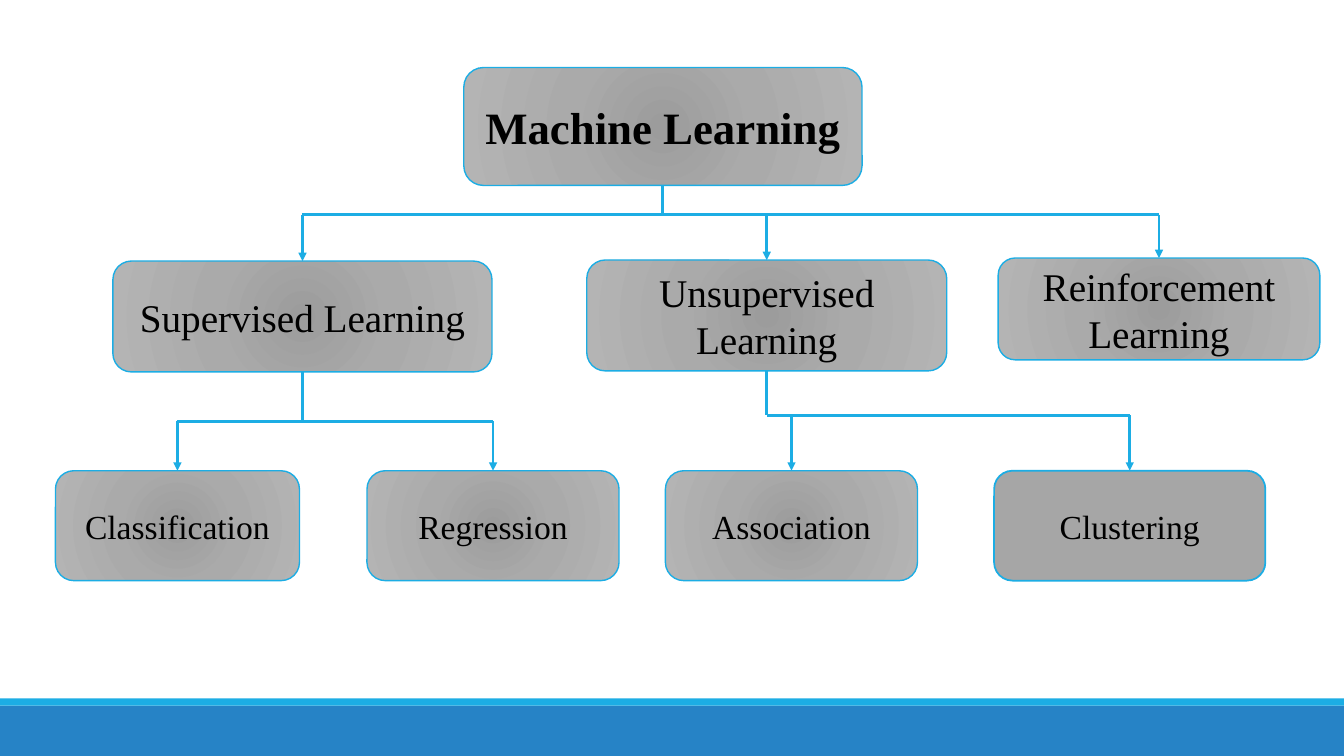
from dataclasses import dataclass

from pptx import Presentation
from pptx.dml.color import RGBColor
from pptx.enum.shapes import MSO_CONNECTOR, MSO_SHAPE
from pptx.enum.text import MSO_ANCHOR, PP_ALIGN
from pptx.oxml import parse_xml
from pptx.oxml.ns import nsdecls, qn
from pptx.util import Inches, Pt

RECTANGLE = MSO_SHAPE.RECTANGLE
ROUNDED = MSO_SHAPE.ROUNDED_RECTANGLE
STRAIGHT = MSO_CONNECTOR.STRAIGHT
MIDDLE = MSO_ANCHOR.MIDDLE
CENTER = PP_ALIGN.CENTER


@dataclass(frozen=True)
class Theme:
    font: str = "Times New Roman"
    accent: str = "1CADE4"
    band: str = "2683C6"
    text: str = "000000"
    flat: str = "A6A6A6"
    gradient: tuple = ((0, "9C9C9C"), (45, "AAAAAA"), (100, "B4B4B4"))
    level_sizes: tuple = (32, 28, 24)
    node_line: float = 1
    flat_line: float = 1.25
    link_line: float = 2
    root_line: float = 2.25


@dataclass(frozen=True)
class Box:
    left: float
    top: float
    width: float
    height: float

    @property
    def center(self):
        return self.left + self.width / 2

    @property
    def bottom(self):
        return self.top + self.height

    def inside(self, outer):
        return Box(outer.left + self.left, outer.top + self.top, self.width, self.height)

    def emu(self):
        return [Inches(v) for v in (self.left, self.top, self.width, self.height)]


THEME = Theme()
SLIDE = Box(0, 0, 13.33, 7.5)
TREE = Box(0.55, 0.67, 12.54, 5.09)
FOOTER = Box(0, 6.93, 13.33, 0.57)

# Label: (level, box within the tree)
NODES = {
    "Machine Learning": (0, Box(4.05, 0, 3.95, 1.17)),
    "Supervised Learning": (1, Box(0.57, 1.92, 3.76, 1.1)),
    "Unsupervised Learning": (1, Box(5.27, 1.91, 3.57, 1.1)),
    "Reinforcement Learning": (1, Box(9.35, 1.89, 3.19, 1.01)),
    "Classification": (2, Box(0, 4, 2.42, 1.09)),
    "Regression": (2, Box(3.09, 4, 2.5, 1.09)),
    "Association": (2, Box(6.05, 4, 2.5, 1.09)),
    "Clustering": (2, Box(9.31, 4, 2.69, 1.09)),
}
FLAT_NODES = {"Clustering"}

# Parent: (height of the crossbar within the tree, children)
BRANCHES = {
    "Machine Learning": (1.46, ("Supervised Learning", "Unsupervised Learning",
                                "Reinforcement Learning")),
    "Supervised Learning": (3.51, ("Classification", "Regression")),
    "Unsupervised Learning": (3.45, ("Association", "Clustering")),
}


def rgb(color):
    return RGBColor.from_string(color)


def fill_solid(shape, color):
    shape.fill.solid()
    shape.fill.fore_color.rgb = rgb(color)


def fill_radial(shape):
    stops = "".join(f'<a:gs pos="{pos * 1000}"><a:srgbClr val="{color}"/></a:gs>'
                    for pos, color in THEME.gradient)
    radial = parse_xml(
        f'<a:gradFill {nsdecls("a")} rotWithShape="1"><a:gsLst>{stops}</a:gsLst>'
        '<a:path path="circle"><a:fillToRect l="100000" t="100000" r="100000" b="100000"/>'
        '</a:path></a:gradFill>')
    shape._element.spPr.find(qn("a:prstGeom")).addnext(radial)


def add_node(slide, box, label, level):
    node = slide.shapes.add_shape(ROUNDED, *box.emu())
    node.shadow.inherit = False
    flat = label in FLAT_NODES
    if flat:
        fill_solid(node, THEME.flat)
    else:
        fill_radial(node)
    node.line.color.rgb = rgb(THEME.accent)
    node.line.width = Pt(THEME.flat_line if flat else THEME.node_line)

    frame = node.text_frame
    frame.word_wrap = True
    frame.vertical_anchor = MIDDLE
    paragraph = frame.paragraphs[0]
    paragraph.alignment = CENTER
    run = paragraph.add_run()
    run.text = label
    run.font.name = THEME.font
    run.font.size = Pt(THEME.level_sizes[level])
    run.font.bold = level == 0
    run.font.color.rgb = rgb(THEME.text)


def add_link(slide, start, end, arrow=False, width=THEME.link_line):
    link = slide.shapes.add_connector(STRAIGHT, *map(Inches, start + end))
    link.line.color.rgb = rgb(THEME.accent)
    link.line.width = Pt(width)
    if arrow:
        link.line._get_or_add_ln().append(
            parse_xml(f'<a:tailEnd {nsdecls("a")} type="triangle"/>'))
    link._element.spPr.append(parse_xml(f'<a:effectLst {nsdecls("a")}/>'))


def add_branch(slide, parent, children, bar_y, stem_width):
    # Stem, crossbar, then one arrow per child
    add_link(slide, (parent.center, parent.bottom), (parent.center, bar_y), width=stem_width)
    reach = [box.center for box in (parent, *children)]
    add_link(slide, (min(reach), bar_y), (max(reach), bar_y))
    for child in children:
        add_link(slide, (child.center, bar_y), (child.center, child.top), arrow=True)


def add_tree(slide, area):
    boxes = {label: box.inside(area) for label, (_, box) in NODES.items()}
    for label, (level, _) in NODES.items():
        add_node(slide, boxes[label], label, level)
    for parent, (bar_y, children) in BRANCHES.items():
        stem_width = THEME.root_line if NODES[parent][0] == 0 else THEME.link_line
        add_branch(slide, boxes[parent], [boxes[child] for child in children],
                   area.top + bar_y, stem_width)


def add_footer(slide, area):
    strip_height = 0.07
    strip = Box(0, 0, area.width, strip_height)
    band = Box(0, strip_height, area.width, area.height - strip_height)
    for part, color in ((band, THEME.band), (strip, THEME.accent)):
        bar = slide.shapes.add_shape(RECTANGLE, *part.inside(area).emu())
        bar.shadow.inherit = False
        fill_solid(bar, color)
        bar.line.fill.background()


presentation = Presentation()
presentation.slide_width = Inches(SLIDE.width)
presentation.slide_height = Inches(SLIDE.height)
blank_layout = presentation.slide_layouts[6]
learning_slide = presentation.slides.add_slide(blank_layout)
add_footer(learning_slide, FOOTER)
add_tree(learning_slide, TREE)
presentation.save("out.pptx")
